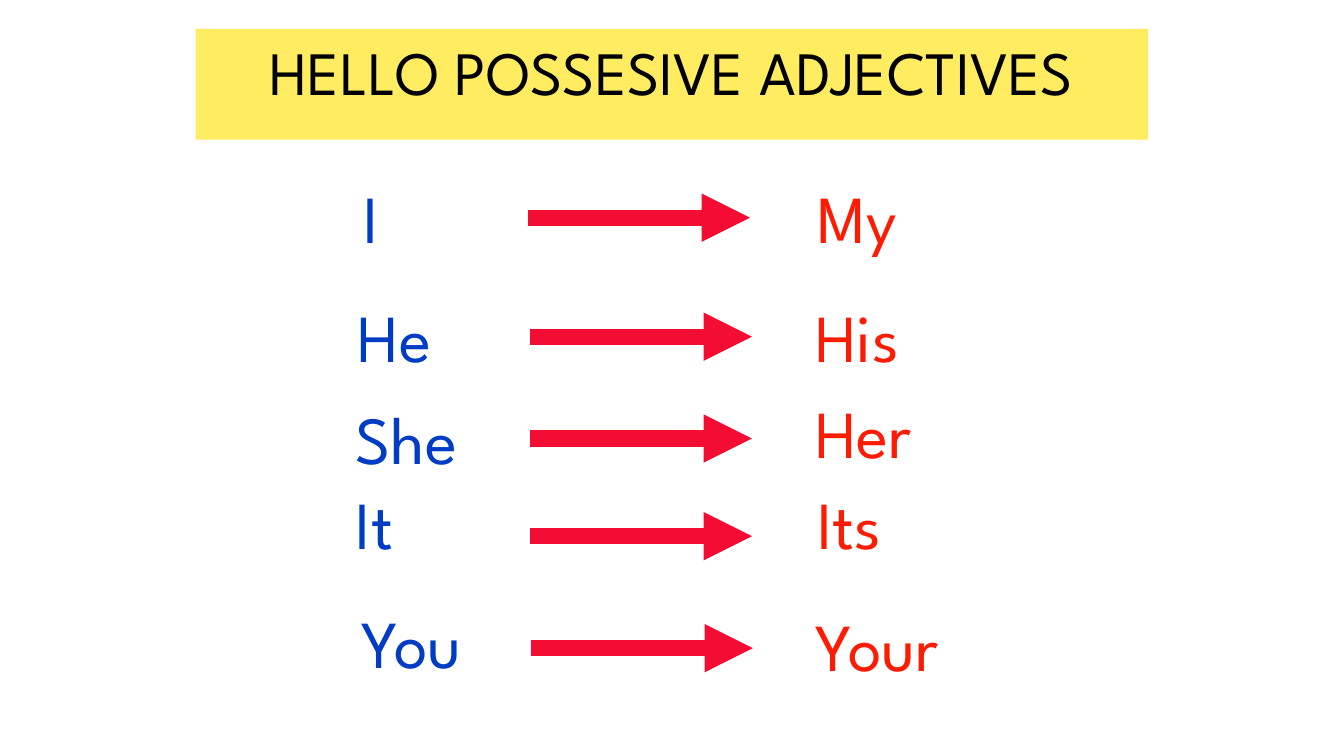
"""Build a slide that pairs subject pronouns with possessive adjectives."""
from dataclasses import dataclass
from typing import Any

import lxml.etree
import pptx
import pptx.dml.color
import pptx.enum.dml
import pptx.enum.shapes
import pptx.enum.text
import pptx.oxml.ns
import pptx.shapes.base
import pptx.slide
import pptx.text.text
import pptx.util

Pt = pptx.util.Pt
RGBColor = pptx.dml.color.RGBColor
LEFT = pptx.enum.text.PP_ALIGN.LEFT
CENTER = pptx.enum.text.PP_ALIGN.CENTER

BLACK = RGBColor(0x00, 0x00, 0x00)
YELLOW = RGBColor(0xFF, 0xEC, 0x61)
BLUE = RGBColor(0x00, 0x3D, 0xC4)
RED = RGBColor(0xFC, 0x1C, 0x04)
CRIMSON = RGBColor(0xF3, 0x0D, 0x33)
WHITE = RGBColor(0xFF, 0xFF, 0xFF)

FONT_NAME = "League Spartan"
TITLE_SIZE = 44
WORD_SIZE = 48
WORD_HEIGHT = 65.5
ARROW_LENGTH = 158.4
ARROW_WEIGHT = 11.5
OUTLINE_WEIGHT = 2.25


@dataclass(frozen=True)
class Word:
    """A single word and the place of its box, in points."""

    text: str
    left: float
    top: float
    width: float
    alignment: Any = LEFT


@dataclass(frozen=True)
class Pair:
    """A pronoun, its possessive adjective and the arrow between them."""

    pronoun: Word
    adjective: Word
    arrow_left: float
    arrow_top: float


PAIRS = (
    Pair(Word("I", 252.7, 122.4, 48.2), Word("My", 576.7, 122.4, 92.2), 377.3, 155.5),
    Pair(Word("He", 248.4, 207.4, 90.7), Word("His", 575.3, 207.4, 92.2), 378.7, 240.5),
    Pair(Word("She", 247, 280.1, 119.5), Word("Her", 575.3, 275.8, 120.2), 378.7, 313.2),
    Pair(Word("It", 247, 341.3, 48.2), Word("Its", 576.7, 340.6, 92.2), 378.7, 383),
    Pair(Word("You", 241.9, 426.2, 104.4, CENTER), Word("Your", 575.3, 428.4, 120.2), 379.4, 463),
)


def apply_format(target: Any, values: dict[str, Any]) -> None:
    """Set each named attribute of the target."""
    for name, value in values.items():
        setattr(target, name, value)


def outline_text(run: pptx.text.text._Run, color: RGBColor) -> None:
    """Give the letters of a run a solid outline."""
    qn = pptx.oxml.ns.qn
    outline = lxml.etree.Element(qn("a:ln"), w=str(Pt(OUTLINE_WEIGHT)))
    fill = lxml.etree.SubElement(outline, qn("a:solidFill"))
    lxml.etree.SubElement(fill, qn("a:srgbClr"), val=str(color))
    run.font._element.insert(0, outline)


def write_text(shape: pptx.shapes.base.BaseShape, text: str, size: float,
               color: RGBColor, alignment: Any, frame_format: dict[str, Any]) -> None:
    """Write one outlined line of text into a shape."""
    frame = shape.text_frame
    apply_format(frame, {"word_wrap": True, **frame_format})
    paragraph = frame.paragraphs[0]
    paragraph.alignment = alignment
    run = paragraph.add_run()
    run.text = text
    apply_format(run.font, {"name": FONT_NAME, "size": Pt(size)})
    run.font.color.rgb = color
    outline_text(run, color)


def add_title(slide: pptx.slide.Slide) -> None:
    """Draw the yellow title banner."""
    banner = slide.shapes.add_shape(
        pptx.enum.shapes.MSO_SHAPE.RECTANGLE, Pt(139.7), Pt(20.6), Pt(680.4), Pt(79.2))
    banner.shadow.inherit = False
    banner.fill.solid()
    banner.fill.fore_color.rgb = YELLOW
    banner.line.fill.background()
    write_text(banner, "HELLO POSSESIVE ADJECTIVES", TITLE_SIZE, BLACK, CENTER,
               {"vertical_anchor": pptx.enum.text.MSO_ANCHOR.TOP})


def add_word(slide: pptx.slide.Slide, word: Word, color: RGBColor) -> None:
    """Draw one word in its own text box."""
    box = slide.shapes.add_textbox(Pt(word.left), Pt(word.top), Pt(word.width), Pt(WORD_HEIGHT))
    write_text(box, word.text, WORD_SIZE, color, word.alignment,
               {"auto_size": pptx.enum.text.MSO_AUTO_SIZE.SHAPE_TO_FIT_TEXT})


def add_arrow(slide: pptx.slide.Slide, left: float, top: float) -> None:
    """Draw a thick arrow pointing right."""
    qn = pptx.oxml.ns.qn
    arrow = slide.shapes.add_connector(
        pptx.enum.shapes.MSO_CONNECTOR.STRAIGHT,
        Pt(left), Pt(top), Pt(left + ARROW_LENGTH), Pt(top))
    arrow.line.color.rgb = CRIMSON
    arrow.line.width = Pt(ARROW_WEIGHT)
    lxml.etree.SubElement(arrow.line._get_or_add_ln(), qn("a:tailEnd"), type="triangle")
    lxml.etree.SubElement(arrow._element.spPr, qn("a:effectLst"))


def main() -> None:
    """Create the presentation and save it."""
    presentation = pptx.Presentation()
    apply_format(presentation, {"slide_width": Pt(960), "slide_height": Pt(540)})
    slide = presentation.slides.add_slide(presentation.slide_layouts[6])
    slide.background.fill.solid()
    slide.background.fill.fore_color.rgb = WHITE
    add_title(slide)
    for pair in PAIRS:
        add_word(slide, pair.pronoun, BLUE)
        add_word(slide, pair.adjective, RED)
        add_arrow(slide, pair.arrow_left, pair.arrow_top)
    presentation.save("out.pptx")


if __name__ == "__main__":
    main()
